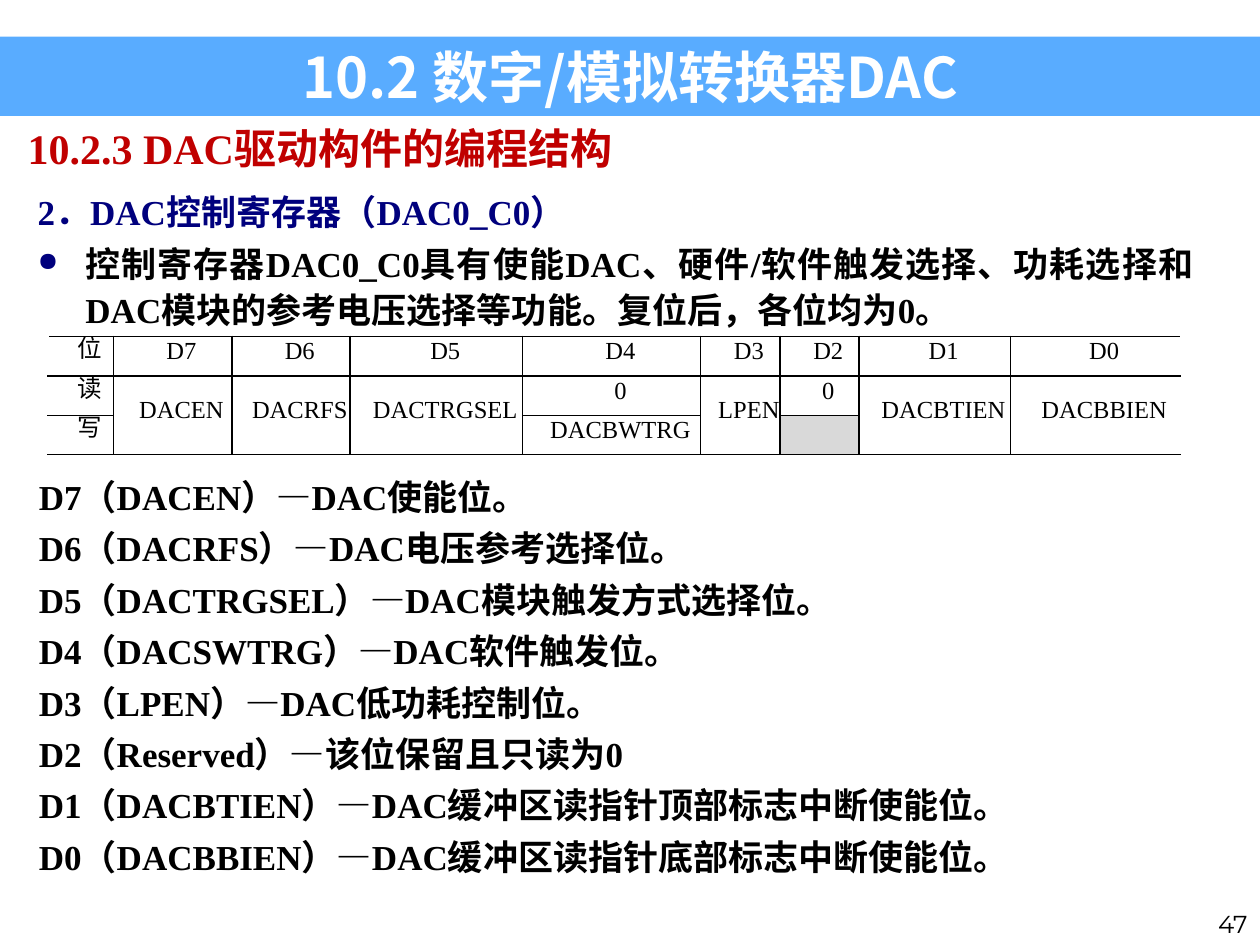
from lxml.etree import SubElement
from pptx import Presentation
from pptx.dml.color import RGBColor
from pptx.enum.shapes import MSO_SHAPE
from pptx.enum.text import MSO_ANCHOR, PP_ALIGN
from pptx.oxml.ns import qn
from pptx.util import Inches, Pt

UNIT = Inches(0.1)
SERIF, CJK = "Times New Roman", "Noto Sans CJK JP"
BLACK, WHITE, NAVY, RED, BLUE, GREY = "000000", "FFFFFF", "00007D", "C00000", "3399FF", "D9D9D9"
COLUMNS = [5.2, 9.4, 9.4, 13.7, 14.1, 6.3, 6.3, 12, 13.5]
ROW = 3.13
BITS = [
    ["位", "D7", "D6", "D5", "D4", "D3", "D2", "D1", "D0"],
    ["读", "DACEN", "DACRFS", "DACTRGSEL", "0", "LPEN", "0", "DACBTIEN", "DACBBIEN"],
    ["写", None, None, None, "DACBWTRG", None, "", None, None],
]
FIELDS = [
    "D7（DACEN）—DAC使能位。",
    "D6（DACRFS）—DAC电压参考选择位。",
    "D5（DACTRGSEL）—DAC模块触发方式选择位。",
    "D4（DACSWTRG）—DAC软件触发位。",
    "D3（LPEN）—DAC低功耗控制位。",
    "D2（Reserved）—该位保留且只读为0",
    "D1（DACBTIEN）—DAC缓冲区读指针顶部标志中断使能位。",
    "D0（DACBBIEN）—DAC缓冲区读指针底部标志中断使能位。",
]


def rgb(code):
    """Turn a hex string into a colour."""
    return RGBColor.from_string(code)


def grid(*values):
    """Turn grid units into lengths."""
    return [int(v * UNIT) for v in values]


def add_text(p, text, size=20, font=SERIF, color=BLACK, bold=True, align=PP_ALIGN.JUSTIFY,
             spacing=1.1, before=0):
    """Write one formatted run into a paragraph."""
    p.alignment, p.line_spacing, p.space_before = align, spacing, Pt(before)
    r = p.add_run()
    r.text = text
    r.font.size, r.font.name, r.font.bold = Pt(size), font, bold
    r.font.color.rgb = rgb(color)
    SubElement(r._r.get_or_add_rPr(), qn("a:ea"), typeface=CJK)


def add_box(s, box, wrap=True, anchor=MSO_ANCHOR.TOP):
    """Add an empty text box and return its frame."""
    tf = s.shapes.add_textbox(*grid(*box)).text_frame
    tf.word_wrap, tf.vertical_anchor = wrap, anchor
    return tf


def add_bullet(p):
    """Give a paragraph a hanging round bullet."""
    pPr = p._p.get_or_add_pPr()
    pPr.set("marL", str(Inches(0.38)))
    pPr.set("indent", str(-Inches(0.38)))
    SubElement(SubElement(pPr, qn("a:buClr")), qn("a:srgbClr"), val=NAVY)
    SubElement(pPr, qn("a:buSzPct"), val="75000")
    SubElement(pPr, qn("a:buChar"), char="●")


def add_borders(cell, sides):
    """Draw thin black lines on the given sides of a cell."""
    tcPr = cell._tc.get_or_add_tcPr()
    for i, side in enumerate(sides):
        ln = tcPr.makeelement(qn(f"a:ln{side}"), {"w": str(Pt(1))})
        SubElement(SubElement(ln, qn("a:solidFill")), qn("a:srgbClr"), val=BLACK)
        tcPr.insert(i, ln)


def add_banner(s, box):
    """Place the title over its translucent band."""
    sp = s.shapes.add_shape(MSO_SHAPE.RECTANGLE, *grid(*box))
    sp.shadow.inherit = False
    sp.fill.solid()
    sp.fill.fore_color.rgb = rgb(BLUE)
    SubElement(sp.fill._xPr.find(".//" + qn("a:srgbClr")), qn("a:alpha"), val="81000")
    sp.line.fill.background()
    add_text(add_box(s, box).paragraphs[0], "10.2 数字/模拟转换器DAC", size=32, font=CJK,
             color=WHITE, align=PP_ALIGN.CENTER, spacing=1.0)


def add_intro(s, box):
    """Place the register heading and its description."""
    tf = add_box(s, box)
    add_text(tf.paragraphs[0], "2．DAC控制寄存器（DAC0_C0）", color=NAVY)
    p = tf.add_paragraph()
    add_bullet(p)
    add_text(p, "控制寄存器DAC0_C0具有使能DAC、硬件/软件触发选择、功耗选择和DAC模块的参考电压选择等功能。"
                "复位后，各位均为0。", before=3)


def add_register(s, left, top):
    """Place the register bit table."""
    box = grid(left, top, sum(COLUMNS), ROW * len(BITS))
    tbl = s.shapes.add_table(len(BITS), len(COLUMNS), *box).table
    tbl.first_row = tbl.horz_banding = False
    for col, width in zip(tbl.columns, COLUMNS):
        col.width = int(width * UNIT)
    last = len(COLUMNS) - 1
    for i, row in enumerate(BITS):
        tbl.rows[i].height = int(ROW * UNIT)
        for j, text in enumerate(row):
            cell = tbl.cell(i, j)
            cell.margin_left = cell.margin_right = cell.margin_top = cell.margin_bottom = 0
            cell.vertical_anchor = MSO_ANCHOR.MIDDLE
            cell.fill.background()
            add_borders(cell, "RTB" if j == 0 else "LTB" if j == last else "LRTB")
            if text is None:
                tbl.cell(i - 1, j).merge(cell)
                continue
            if text == "":
                cell.fill.solid()
                cell.fill.fore_color.rgb = rgb(GREY)
            p = cell.text_frame.paragraphs[0]
            p._p.get_or_add_pPr().set("indent", str(Inches(0.14)))
            add_text(p, text, size=14, bold=False, align=PP_ALIGN.CENTER, spacing=Pt(10))


def add_fields(s, box):
    """Place the list of bit meanings."""
    tf = add_box(s, box)
    for i, text in enumerate(FIELDS):
        p = tf.add_paragraph() if i else tf.paragraphs[0]
        add_text(p, text, before=3 if i else 0)


def main():
    """Build the slide and save it."""
    prs = Presentation()
    prs.slide_width, prs.slide_height = grid(100, 75)
    s = prs.slides.add_slide(prs.slide_layouts[6])
    add_banner(s, (0, 2.9, 100, 6.3))
    add_text(add_box(s, (1.2, 9.2, 49.9, 5), wrap=False).paragraphs[0],
             "10.2.3 DAC驱动构件的编程结构", size=24, color=RED, align=PP_ALIGN.LEFT, spacing=1.0)
    add_intro(s, (2, 14.3, 93.7, 12.5))
    add_register(s, 3.8, 26.7)
    add_fields(s, (2.1, 36.9, 93.7, 33.6))
    add_text(add_box(s, (76.7, 70, 23.3, 5), anchor=MSO_ANCHOR.BOTTOM).paragraphs[0], "47",
             size=14, font="Montserrat", bold=False, align=PP_ALIGN.RIGHT, spacing=1.0)
    prs.save("out.pptx")


if __name__ == "__main__":
    main()
